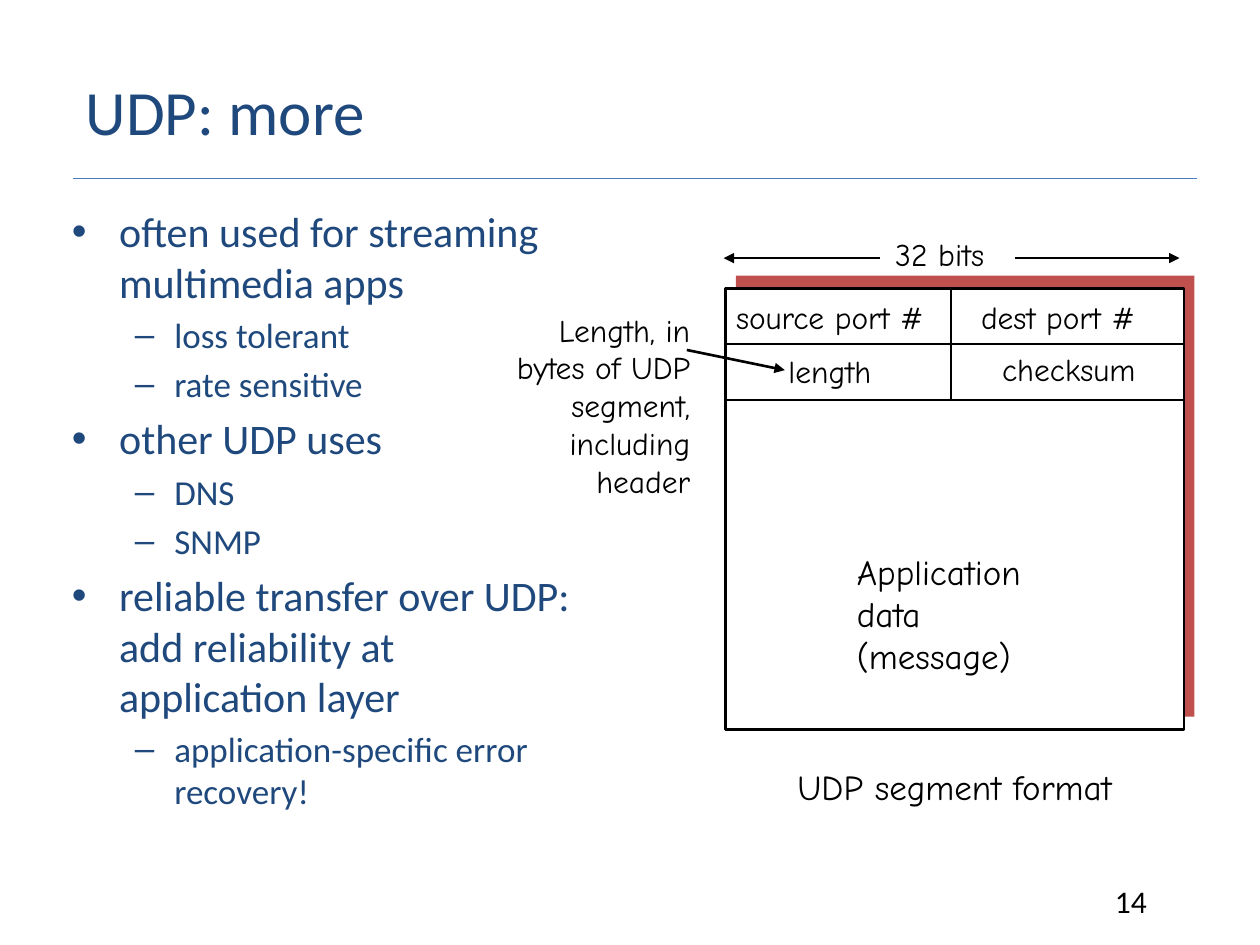
from lxml import etree
from pptx import Presentation
from pptx import util as u
from pptx.dml.color import RGBColor
from pptx.enum import shapes, text
from pptx.oxml.ns import qn

NAVY, BLACK, WHITE, RED, RULE = "1F497D", "000000", "FFFFFF", "C0504D", "4B7EBC"
BODY_FONT, DIAGRAM_FONT = "Calibri", "Comic Neue"

# Content: (level, text)
BULLETS = [
    (0, "often used for streaming multimedia apps"),
    (1, "loss tolerant"),
    (1, "rate sensitive"),
    (0, "other UDP uses"),
    (1, "DNS"),
    (1, "SNMP"),
    (0, "reliable transfer over UDP: add reliability at application layer"),
    (1, "application-specific error recovery!"),
]
# Per level: bullet, size, left margin, hanging indent
LEVELS = [("•", 24, 27, 27), ("–", 20, 58.5, 22.5)]

# Diagram labels: lines, (left, top, width, height), size, alignment
LEFT, RIGHT = text.PP_ALIGN.LEFT, text.PP_ALIGN.RIGHT
LABELS = [
    (["source port #"], (413.5, 167, 131.5, 29), 18, LEFT),
    (["dest port #"], (553.5, 167, 114.5, 29), 18, LEFT),
    (["length"], (443.5, 197.5, 67, 29), 18, LEFT),
    (["checksum"], (565.5, 196.5, 95, 29), 18, LEFT),
    (["32 bits"], (504.5, 131, 75, 29), 18, LEFT),
    (["Application", "data", "(message)"], (482.5, 311, 118, 79), 20, LEFT),
    (["UDP segment format"], (448.5, 434, 209, 31), 20, LEFT),
    (["Length, in", "bytes of UDP", "segment,", "including", "header"],
     (275, 174, 126.5, 115), 18, RIGHT),
]

# Segment frame and its header rows
FRAME_LEFT, FRAME_TOP, FRAME_WIDTH, FRAME_HEIGHT = 414.5, 165, 262, 252
FRAME_RIGHT = FRAME_LEFT + FRAME_WIDTH
SHADE_RIGHT, SHADE_UP = 6, 7.5
ROW_BOTTOMS = [196.5, 228.5]
MIDDLE = 543.5
WIDTH_Y = 147.5


def color(value):
    return RGBColor.from_string(value)


def style(para, size, font, ink):
    para.font.size, para.font.name = u.Pt(size), font
    para.font.color.rgb = color(ink)


def add_text(page, lines, place, size, font, ink, align=LEFT, wrap=True):
    box = page.shapes.add_textbox(*map(u.Pt, place))
    frame = box.text_frame
    frame.word_wrap = wrap
    if not wrap:
        frame.auto_size = text.MSO_AUTO_SIZE.SHAPE_TO_FIT_TEXT
    frame.text = "\n".join(lines)
    for para in frame.paragraphs:
        para.alignment = align
        style(para, size, font, ink)
    return frame


def add_bullets(page, place):
    frame = add_text(page, [line for _, line in BULLETS], place, 24, BODY_FONT, NAVY)
    for para, (level, _) in zip(frame.paragraphs, BULLETS):
        mark, size, margin, hang = LEVELS[level]
        para.level = level
        para.font.size = u.Pt(size)
        para.space_before = u.Pt(size * 0.2)
        props = para._p.get_or_add_pPr()
        props.set("marL", str(u.Pt(margin)))
        props.set("indent", str(-u.Pt(hang)))
        etree.SubElement(props, qn("a:buFont")).set("typeface", "Arial")
        etree.SubElement(props, qn("a:buChar")).set("char", mark)
        # The schema wants bullets ahead of the default run properties
        props.append(props.find(qn("a:defRPr")))


def add_rect(page, place, fill, line=None):
    rect = page.shapes.add_shape(shapes.MSO_SHAPE.RECTANGLE, *map(u.Pt, place))
    rect.shadow.inherit = False
    rect.fill.solid()
    rect.fill.fore_color.rgb = color(fill)
    if line:
        rect.line.color.rgb = color(line)
        rect.line.width = u.Pt(1.5)
    else:
        rect.line.fill.background()


def add_line(page, ends, ink=BLACK, width=1.5, arrow=False):
    line = page.shapes.add_connector(shapes.MSO_CONNECTOR.STRAIGHT, *map(u.Pt, ends))
    line.line.color.rgb = color(ink)
    line.line.width = u.Pt(width)
    if arrow:
        etree.SubElement(line.line._get_or_add_ln(), qn("a:tailEnd")).set("type", "triangle")
    etree.SubElement(line._element.spPr, qn("a:effectLst"))


def main():
    deck = Presentation()
    deck.slide_width, deck.slide_height = u.Pt(720), u.Pt(540)
    page = deck.slides.add_slide(deck.slide_layouts[6])

    # Title, rule and bullets
    add_line(page, (42, 102, 684, 102), RULE, 0.75)
    title = add_text(page, ["UDP: more"], (42, 18, 657, 90), 36, BODY_FONT, NAVY)
    title.vertical_anchor = text.MSO_ANCHOR.MIDDLE
    add_bullets(page, (34, 114, 300, 408))

    # Segment frame over its offset shade
    add_rect(page, (FRAME_LEFT + SHADE_RIGHT, FRAME_TOP - SHADE_UP,
                    FRAME_WIDTH, FRAME_HEIGHT), RED)
    add_rect(page, (FRAME_LEFT, FRAME_TOP, FRAME_WIDTH, FRAME_HEIGHT), WHITE, BLACK)
    for bottom in ROW_BOTTOMS:
        add_line(page, (FRAME_LEFT, bottom, FRAME_RIGHT, bottom))
    add_line(page, (MIDDLE, FRAME_TOP, MIDDLE, ROW_BOTTOMS[-1]))

    # Width arrows and pointer to the length field
    add_line(page, (503, WIDTH_Y, 413.5, WIDTH_Y), arrow=True)
    add_line(page, (580, WIDTH_Y, 674, WIDTH_Y), arrow=True)
    add_line(page, (392.5, 200, 448.5, 211.5), arrow=True)

    for lines, place, size, align in LABELS:
        add_text(page, lines, place, size, DIAGRAM_FONT, BLACK, align, wrap=False)

    # Page number
    add_text(page, ["14"], (630, 500.5, 54, 29), 18, BODY_FONT, BLACK)
    deck.save("out.pptx")


if __name__ == "__main__":
    main()
